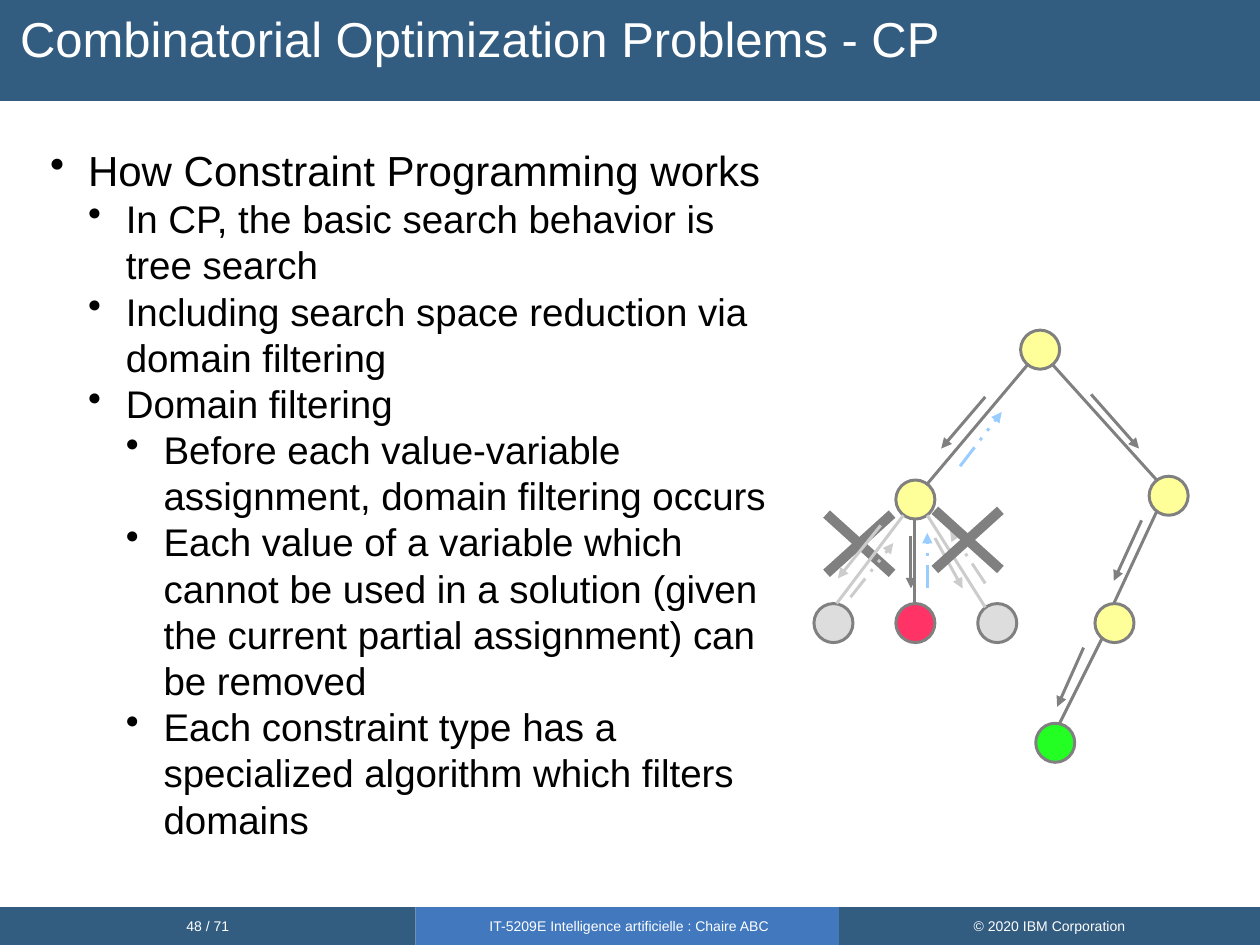
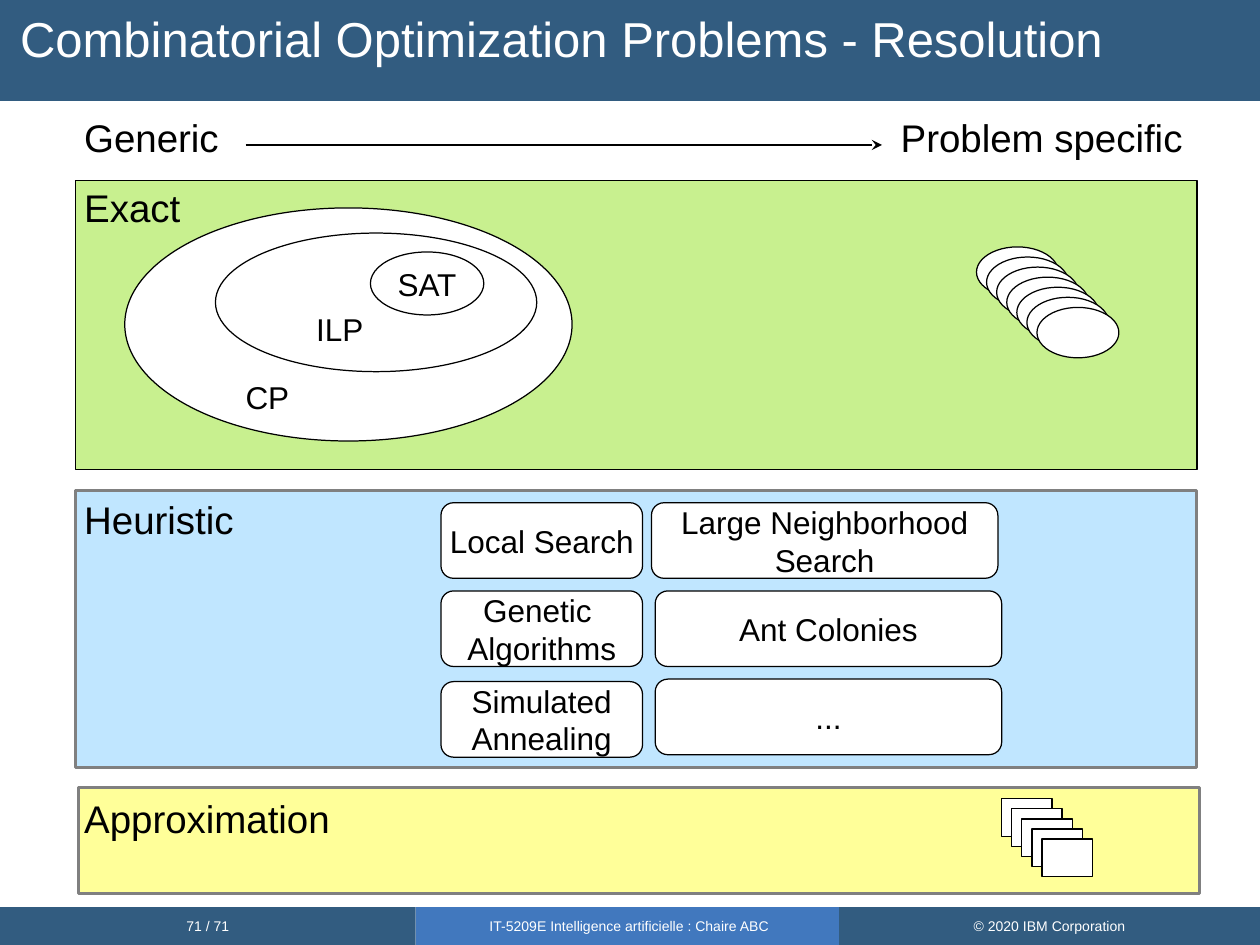
from lxml.etree import SubElement
from pptx import Presentation
from pptx.dml.color import RGBColor
from pptx.enum.dml import MSO_LINE
from pptx.enum.shapes import MSO_CONNECTOR, MSO_SHAPE as Shape
from pptx.enum.text import MSO_ANCHOR as Anchor, MSO_AUTO_SIZE as Fit, PP_ALIGN as Align
from pptx.oxml.ns import qn
from pptx.util import Inches, Pt

NAVY = RGBColor(0x32, 0x5C, 0x80)
BLUE = RGBColor(0x41, 0x78, 0xBE)
WHITE = RGBColor(0xFF, 0xFF, 0xFF)
BLACK = RGBColor(0, 0, 0)
GRAY = RGBColor(0x80, 0x80, 0x80)
PALE = RGBColor(0xCC, 0xCC, 0xCC)
MIST = RGBColor(0xDD, 0xDD, 0xDD)
YELLOW = RGBColor(0xFF, 0xFF, 0x99)
RED = RGBColor(0xFF, 0x33, 0x66)
GREEN = RGBColor(0x23, 0xFF, 0x23)
SKY = RGBColor(0x99, 0xCC, 0xFF)
LIME = RGBColor(0xC8, 0xF0, 0x8F)
ICE = RGBColor(0xC0, 0xE6, 0xFF)
FONT = "Arial"
THIN, MID, THICK = 0.71, 1.7, 5.67


def box(slide, kind, at, fill=None, edge=None, width=THIN, lines=(), size=18, ink=BLACK):
    place = [Inches(v) for v in at]
    if kind is None:
        shape = slide.shapes.add_textbox(*place)
    else:
        shape = slide.shapes.add_shape(kind, *place)
        shape.shadow.inherit = False
        shape.fill.solid()
        shape.fill.fore_color.rgb = fill
        if edge is None:
            shape.line.fill.background()
        else:
            shape.line.color.rgb = edge
            shape.line.width = Pt(width)
    frame = shape.text_frame
    frame.word_wrap = kind is None
    frame.vertical_anchor = Anchor.TOP if kind is None else Anchor.MIDDLE
    for i, line in enumerate(lines):
        para = frame.add_paragraph() if i else frame.paragraphs[0]
        para.alignment = Align.LEFT if kind is None else Align.CENTER
        run = para.add_run()
        run.text = line
        run.font.name = FONT
        run.font.size = Pt(size)
        run.font.color.rgb = ink
    return shape


def link(slide, ends, color, width=MID, head=None, dash=False):
    line = slide.shapes.add_connector(MSO_CONNECTOR.STRAIGHT, *[Inches(v) for v in ends])
    line.line.color.rgb = color
    line.line.width = Pt(width)
    if dash:
        line.line.dash_style = MSO_LINE.DASH_DOT_DOT
    props = line.element.spPr
    if head:
        SubElement(props.find(qn("a:ln")), qn("a:tailEnd"), type=head)
    SubElement(props, qn("a:effectLst"))


deck = Presentation()
deck.slide_width, deck.slide_height = Inches(10), Inches(7.5)

slides = []
for topic, page in (("CP", 48), ("Resolution", 71)):
    slide = deck.slides.add_slide(deck.slide_layouts[5])
    title = slide.shapes.title
    title.left, title.top, title.width, title.height = 0, 0, Inches(10), Inches(0.8)
    title.fill.solid()
    title.fill.fore_color.rgb = NAVY
    frame = title.text_frame
    frame.auto_size = Fit.NONE
    frame.vertical_anchor = Anchor.TOP
    frame.margin_left, frame.margin_top = Inches(0.16), Inches(0.12)
    para = frame.paragraphs[0]
    para.alignment = Align.LEFT
    para.line_spacing = 0.9
    run = para.add_run()
    run.text = "Combinatorial Optimization Problems - " + topic
    run.font.name = FONT
    run.font.size = Pt(28)
    run.font.color.rgb = WHITE
    for x, w, fill, text in (
        (0, 3.3, NAVY, f"{page} / 71"),
        (3.3, 3.39, BLUE, "IT-5209E Intelligence artificielle : Chaire ABC"),
        (6.66, 3.34, NAVY, "© 2020 IBM Corporation"),
    ):
        box(slide, Shape.RECTANGLE, (x, 7.2, w, 0.3), fill, lines=[text], size=8, ink=WHITE)
    slides.append(slide)
search, map_ = slides

points = [
    (0, "How Constraint Programming works"),
    (1, "In CP, the basic search behavior is tree search"),
    (1, "Including search space reduction via domain filtering"),
    (1, "Domain filtering"),
    (2, "Before each value-variable assignment, domain filtering occurs"),
    (2, "Each value of a variable which cannot be used in a solution "
        "(given the current partial assignment) can be removed"),
    (2, "Each constraint type has a specialized algorithm which filters domains"),
]
body = box(search, None, (0.3, 1.1, 6.05, 5.7), lines=[t for _, t in points], size=22)
for (level, _), para in zip(points, body.text_frame.paragraphs):
    para.level = level
    props = para._p.get_or_add_pPr()
    props.set("marL", str(Inches(0.3 * (level + 1))))
    props.set("indent", str(Inches(-0.3)))
    SubElement(props, qn("a:buChar"), char="•")
body.text_frame.paragraphs[0].runs[0].font.size = Pt(24)

crosses = []
for x, y in ((6.56, 4.08), (7.42, 4.05)):
    r, b = x + 0.52, y + 0.47
    crosses.append(((x, b, r, y), (x, y, r, b)))
for ends in crosses[0]:
    link(search, ends, GRAY, THICK)

for x, y, fill in (
    (8.1, 2.62, YELLOW), (7.11, 3.81, YELLOW), (9.12, 3.78, YELLOW),
    (6.46, 4.79, MIST), (7.11, 4.79, RED), (7.76, 4.79, MIST),
    (8.69, 4.79, YELLOW), (8.22, 5.74, GREEN),
):
    box(search, Shape.OVAL, (x, y, 0.31, 0.31), fill, GRAY, MID)

for ends, color in (
    ((8.16, 2.89, 7.36, 3.84), GRAY),
    ((8.35, 2.89, 9.18, 3.81), GRAY),
    ((7.17, 4.09, 6.64, 4.79), PALE),
    ((7.26, 4.12, 7.26, 4.79), GRAY),
    ((7.36, 4.09, 7.82, 4.82), PALE),
    ((9.18, 4.06, 8.84, 4.79), GRAY),
    ((8.75, 5.06, 8.41, 5.74), GRAY),
):
    link(search, ends, color)

for ends, color in (
    ((7.82, 3.15, 7.47, 3.56), GRAY),
    ((6.99, 4.17, 6.65, 4.59), PALE),
    ((7.23, 4.25, 7.23, 4.67), GRAY),
    ((7.42, 4.27, 7.64, 4.67), PALE),
    ((8.66, 3.13, 9.04, 3.56), GRAY),
    ((9.06, 4.13, 8.84, 4.61), GRAY),
    ((8.6, 5.14, 8.39, 5.61), GRAY),
):
    link(search, ends, color, head="triangle")

for ends, color in (
    ((7.62, 3.7, 7.95, 3.27), SKY),
    ((6.75, 4.74, 7.09, 4.31), PALE),
    ((7.36, 4.67, 7.36, 4.23), SKY),
    ((7.82, 4.63, 7.54, 4.21), PALE),
):
    link(search, ends, color, head="triangle", dash=True)
for ends in crosses[1]:
    link(search, ends, GRAY, THICK)

for x, y, h, fill, edge, width, name, top in (
    (0.6, 1.43, 2.3, LIME, BLACK, THIN, "Exact", 1.41),
    (0.62, 6.25, 0.84, YELLOW, GRAY, MID, "Approximation", 6.26),
    (0.6, 3.89, 2.2, ICE, GRAY, MID, "Heuristic", 3.89),
):
    box(map_, Shape.RECTANGLE, (x, y, 8.9, h), fill, edge, width)
    box(map_, None, (0.57, top, 2.83, 0.83), lines=[name], size=22)

for at, lines in (
    ((0.99, 1.65, 3.55, 1.85), []),
    ((1.71, 1.85, 2.55, 1.1), []),
    ((2.94, 2, 0.9, 0.5), ["SAT"]),
):
    box(map_, Shape.OVAL, at, WHITE, BLACK, lines=lines)
box(map_, None, (2.41, 2.41, 0.75, 0.45), lines=["ILP"])
box(map_, None, (1.85, 2.95, 0.75, 0.45), lines=["CP"])

for x, y, w, lines in (
    (3.5, 3.99, 1.6, ["Local Search"]),
    (3.5, 4.69, 1.6, ["Genetic ", "Algorithms"]),
    (5.17, 3.99, 2.75, ["Large Neighborhood", "Search"]),
    (5.2, 4.69, 2.75, ["Ant Colonies"]),
    (3.5, 5.41, 1.6, ["Simulated", "Annealing"]),
    (5.2, 5.39, 2.75, ["..."]),
):
    box(map_, Shape.ROUNDED_RECTANGLE, (x, y, w, 0.6), WHITE, BLACK, lines=lines)

scale = box(map_, None, (0.57, 0.86, 9.43, 0.47), lines=["Generic\tProblem specific"], size=22)
props = scale.text_frame.paragraphs[0]._p.get_or_add_pPr()
tabs = SubElement(props, qn("a:tabLst"))
SubElement(tabs, qn("a:tab"), pos=str(Inches(6.48)), algn="l")
link(map_, (1.95, 1.15, 7, 1.15), BLACK, THIN, head="stealth")

for kind, count, x, y, w, h in (
    (Shape.OVAL, 7, 7.75, 1.96, 0.65, 0.4),
    (Shape.RECTANGLE, 5, 7.95, 6.34, 0.4, 0.3),
):
    for i in range(count):
        box(map_, kind, (x + 0.08 * i, y + 0.08 * i, w, h), WHITE, BLACK)

deck.save("out.pptx")
